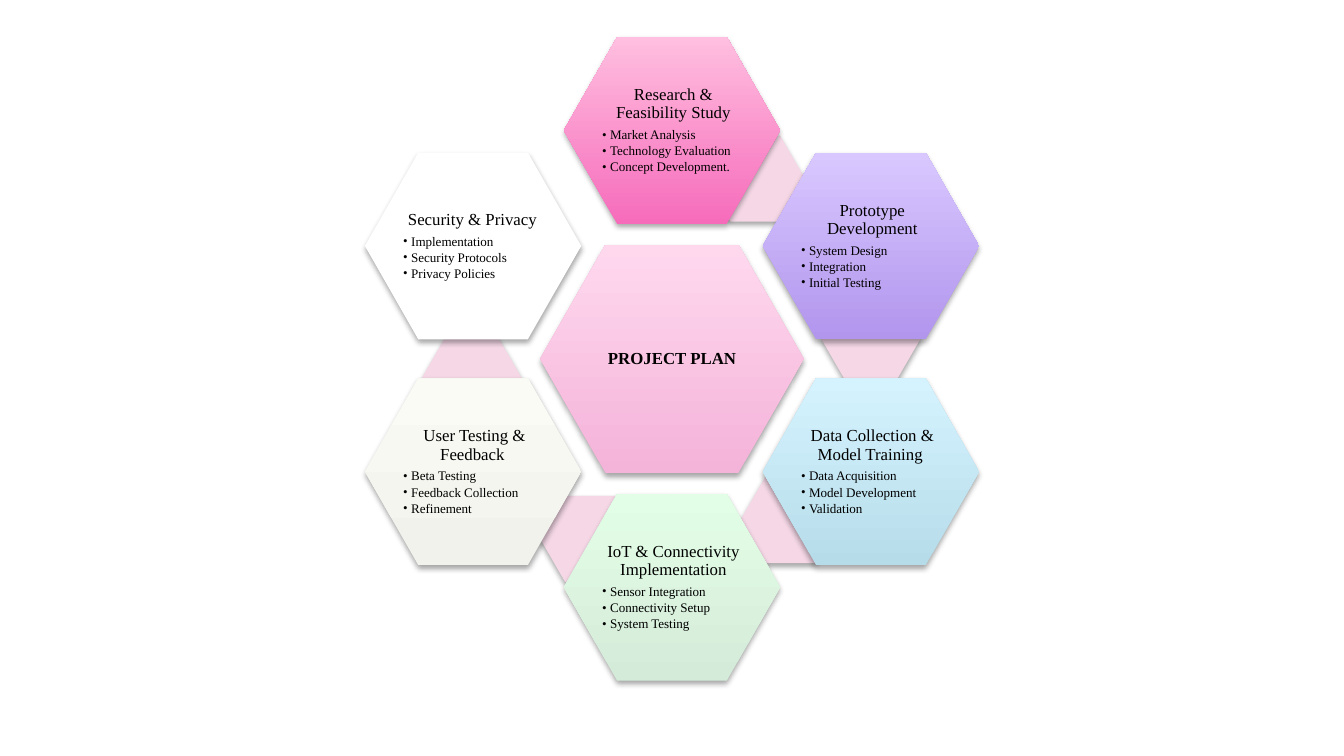
import lxml.etree
import pptx
import pptx.dml.color
import pptx.enum.shapes
import pptx.enum.text
import pptx.oxml.ns
import pptx.util

Inches = pptx.util.Inches
Pt = pptx.util.Pt

COLOURS = {
    "text": "000000",
    "shadow": "000000",
    "accent": "F5D7E6",
    "hub": ("F4B3D9", "FFD8EE"),
    "pink": ("F66CBB", "FFBFE0"),
    "purple": ("B295ED", "D9C8FF"),
    "blue": ("B7DCE9", "D4F3FF"),
    "green": ("D5EBD9", "E3FEE7"),
    "ivory": ("F2F2ED", "FAFBF4"),
    "white": "FFFFFF",
}
FONT = "Times New Roman"
PAGE_WIDTH = 10
PAGE_HEIGHT = PAGE_WIDTH * 9 / 16
CENTRE = (5, 2.67)
SIDE, NEAR, FAR = 1.48, 0.84, 1.7
TEXT_SHIFT = 0.01
HUB_SIZE, HUB_TEXT_SIZE = (1.96, 1.7), (1.31, 1.14)
STAGE_SIZE, STAGE_TEXT_SIZE = (1.61, 1.39), (1.08, 0.93)
ACCENT_SIZE = (0.74, 0.64)

STAGES = [
    {"title": "Research & Feasibility Study", "colour": "pink",
     "offset": (0, -FAR), "accent": (5.62, 1.33),
     "points": ["Market Analysis", "Technology Evaluation", "Concept Development."]},
    {"title": "Prototype Development", "colour": "purple",
     "offset": (SIDE, -NEAR), "accent": (6.48, 2.52),
     "points": ["System Design", "Integration", "Initial Testing"]},
    {"title": "Data Collection & Model Training ", "colour": "blue",
     "offset": (SIDE, NEAR), "accent": (5.88, 3.87),
     "points": ["Data Acquisition", "Model Development", "Validation"]},
    {"title": "IoT & Connectivity Implementation", "colour": "green",
     "offset": (0, FAR), "accent": (4.39, 4.01),
     "points": ["Sensor Integration", "Connectivity Setup", "System Testing"]},
    {"title": "User Testing & Feedback ", "colour": "ivory",
     "offset": (-SIDE, NEAR), "accent": (3.51, 2.81),
     "points": ["Beta Testing", "Feedback Collection", "Refinement"]},
    {"title": "Security & Privacy ", "colour": "white",
     "offset": (-SIDE, -NEAR), "accent": None,
     "points": ["Implementation", "Security Protocols", "Privacy Policies"]},
]


def rgb(value):
    return pptx.dml.color.RGBColor.from_string(value)


def add_element(parent, tag, **attributes):
    element = lxml.etree.SubElement(parent, pptx.oxml.ns.qn(tag))
    for name, value in attributes.items():
        element.set(name, str(value))
    return element


def frame(centre, size):
    left, top = (middle - length / 2 for middle, length in zip(centre, size))
    return [Inches(length) for length in (left, top, *size)]


def add_hexagon(group, centre, size, colour, inset=0.286):
    hexagon = group.shapes.add_shape(
        pptx.enum.shapes.MSO_SHAPE.HEXAGON, *frame(centre, size))
    hexagon.adjustments[0] = inset
    if isinstance(colour, tuple):
        hexagon.fill.gradient()
        hexagon.fill.gradient_angle = 90
        for stop, position, value in zip(hexagon.fill.gradient_stops, (0, 1), colour):
            stop.position = position
            stop.color.rgb = rgb(value)
    else:
        hexagon.fill.solid()
        hexagon.fill.fore_color.rgb = rgb(colour)
    hexagon.line.fill.background()
    hexagon.shadow.inherit = False
    effects = hexagon._element.spPr.find(pptx.oxml.ns.qn("a:effectLst"))
    shadow = add_element(effects, "a:outerShdw", blurRad=Pt(3.1), dist=Pt(1.8),
                         dir=5400000, rotWithShape=0)
    shade = add_element(shadow, "a:srgbClr", val=COLOURS["shadow"])
    add_element(shade, "a:alpha", val=35000)


def write(para, text, size, space_after, bold=False):
    para.line_spacing = 0.9
    para.space_after = Pt(space_after)
    span = para.add_run()
    span.text = text
    span.font.name = FONT
    span.font.size = Pt(size)
    span.font.bold = bold
    span.font.color.rgb = rgb(COLOURS["text"])


def add_text(group, centre, size, title, points=(), bold=False):
    box = group.shapes.add_textbox(*frame(centre, size))
    text = box.text_frame
    text.word_wrap = True
    text.vertical_anchor = pptx.enum.text.MSO_ANCHOR.MIDDLE
    text.margin_left = text.margin_right = Inches(0.01)
    text.margin_top = text.margin_bottom = Inches(0.01)
    heading = text.paragraphs[0]
    heading.alignment = pptx.enum.text.PP_ALIGN.CENTER
    write(heading, title, 9, 3.2, bold)
    for point in points:
        para = text.add_paragraph()
        para.level = 1
        para.alignment = pptx.enum.text.PP_ALIGN.LEFT
        properties = para._p.get_or_add_pPr()
        properties.set("marL", str(Inches(0.06)))
        properties.set("indent", str(Inches(-0.06)))
        bullet_colour = add_element(properties, "a:buClr")
        add_element(bullet_colour, "a:srgbClr", val=COLOURS["text"])
        add_element(properties, "a:buFont", typeface=FONT)
        add_element(properties, "a:buChar", char="•")
        write(para, point, 7, 1.1)


def main():
    deck = pptx.Presentation()
    deck.slide_width, deck.slide_height = Inches(PAGE_WIDTH), Inches(PAGE_HEIGHT)
    page = deck.slides.add_slide(deck.slide_layouts[6])
    diagram = page.shapes.add_group_shape()
    add_hexagon(diagram, CENTRE, HUB_SIZE, COLOURS["hub"])
    add_text(diagram, CENTRE, HUB_TEXT_SIZE, "PROJECT PLAN", bold=True)
    for stage in STAGES:
        across, down = stage["offset"]
        centre = (CENTRE[0] + across, CENTRE[1] + down)
        text_centre = (centre[0] + TEXT_SHIFT, centre[1])
        if stage["accent"]:
            add_hexagon(diagram, stage["accent"], ACCENT_SIZE, COLOURS["accent"], 0.289)
        add_hexagon(diagram, centre, STAGE_SIZE, COLOURS[stage["colour"]])
        add_text(diagram, text_centre, STAGE_TEXT_SIZE, stage["title"], stage["points"])
    deck.save("out.pptx")


if __name__ == "__main__":
    main()
